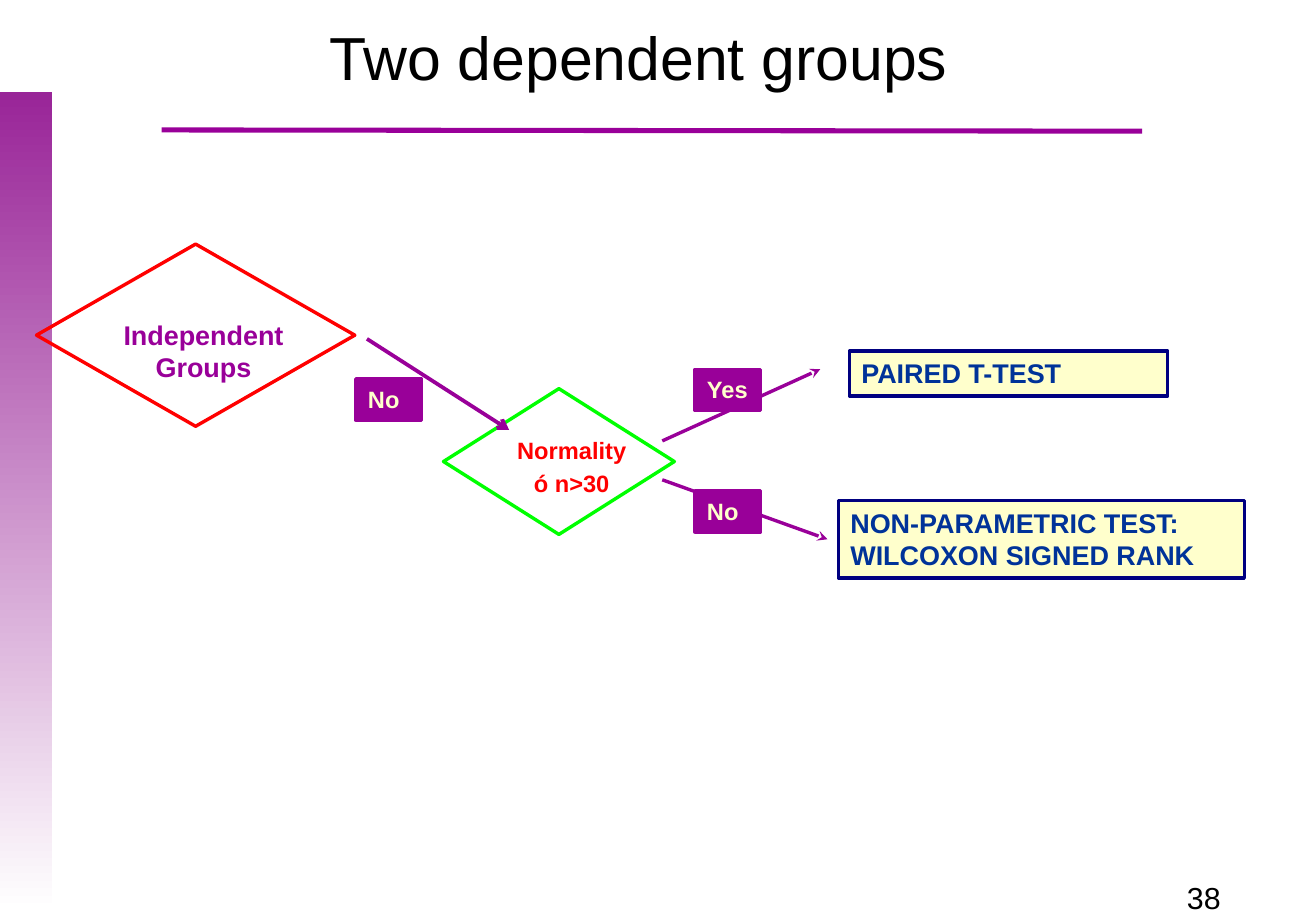
from lxml.etree import SubElement
from pptx import Presentation
from pptx.dml.color import RGBColor
from pptx.enum.shapes import MSO_CONNECTOR, MSO_SHAPE
from pptx.enum.text import MSO_ANCHOR, PP_ALIGN
from pptx.oxml.ns import qn
from pptx.util import Inches, Pt

COLORS = {
    "purple": "990099", "band": "992598", "white": "FFFFFF", "black": "000000",
    "red": "FF0000", "green": "00FF00", "cream": "FFFFCC", "navy": "000080",
    "blue": "003399",
}


def rgb(name):
    return RGBColor.from_string(COLORS[name])


def write(shape, lines, size, color, bold=True, align=PP_ALIGN.LEFT,
          anchor=MSO_ANCHOR.TOP, gap=0):
    """Fill a shape with one paragraph per line, gap points apart."""
    frame = shape.text_frame
    frame.word_wrap = True
    frame.vertical_anchor = anchor
    frame.text = "\n".join(lines)
    font_format = {"name": "Arial", "size": Pt(size), "bold": bold}
    for index, paragraph in enumerate(frame.paragraphs):
        paragraph.alignment = align
        if index:
            paragraph.space_before = Pt(gap)
        for attribute, value in font_format.items():
            setattr(paragraph.font, attribute, value)
        paragraph.font.color.rgb = rgb(color)


def add_box(slide, box, fill=None, line=None, kind=MSO_SHAPE.RECTANGLE):
    shape = slide.shapes.add_shape(kind, *map(Inches, box))
    shape.shadow.inherit = False
    if fill:
        shape.fill.solid()
        shape.fill.fore_color.rgb = rgb(fill)
    else:
        shape.fill.background()
    if line:
        shape.line.color.rgb = rgb(line)
        shape.line.width = Pt(2)
    else:
        shape.line.fill.background()
    return shape


def add_text(slide, box, lines, size, color, **layout):
    write(slide.shapes.add_textbox(*map(Inches, box)), lines, size, color, **layout)


def add_line(slide, start, end, width=2, head=None):
    line = slide.shapes.add_connector(
        MSO_CONNECTOR.STRAIGHT, *map(Inches, (*start, *end)))
    line.line.color.rgb = rgb("purple")
    line.line.width = Pt(width)
    if head:
        SubElement(line.line._get_or_add_ln(), qn("a:tailEnd"), type=head)
    SubElement(line._element.spPr, qn("a:effectLst"))


def add_frame(slide, title, number):
    """Side band, rule, page number and title."""
    band = add_box(slide, (0, 0.76, 0.43, 6.74))
    band.fill.gradient()
    band.fill.gradient_angle = 270
    for stop, position, color in zip(
            band.fill.gradient_stops, (0, 1), ("band", "white")):
        stop.position = position
        stop.color.rgb = rgb(color)
    add_line(slide, (1.33, 1.07), (9.4, 1.08), width=3)
    add_text(slide, (9.67, 7.19, 1.16, 0.31), [number], 18, "black", bold=False)
    write(add_box(slide, (1.87, 0, 6.77, 0.92), "white"), [title], 36, "black",
          bold=False, align=PP_ALIGN.CENTER, anchor=MSO_ANCHOR.MIDDLE)


def add_decision(slide, box, line, label, lines, size, color, gap=0):
    """Diamond with its text; label is the text box relative to the diamond."""
    left, top, _, _ = box
    add_box(slide, box, line=line, kind=MSO_SHAPE.FLOWCHART_DECISION)
    dx, dy, width, height = label
    add_text(slide, (left + dx, top + dy, width, height), lines, size, color,
             align=PP_ALIGN.CENTER, gap=gap)


def add_result(slide, box, text):
    write(add_box(slide, box, "cream", "navy"), [text], 16, "blue")


def add_answer(slide, left, top, text):
    write(add_box(slide, (left, top, 0.54, 0.34), "purple", "purple"),
          [text], 14, "cream")


def add_flowchart(slide):
    add_decision(slide, (0.3, 2.01, 2.62, 1.5), "red", (0.23, 0.56, 2.29, 0.62),
                 ["Independent Groups"], 16, "purple")
    add_result(slide, (6.99, 2.89, 2.62, 0.37), "PAIRED T-TEST")
    add_result(slide, (6.9, 4.12, 3.34, 0.64),
               "NON-PARAMETRIC TEST: WILCOXON SIGNED RANK")
    add_decision(slide, (3.65, 3.2, 1.9, 1.2), "green", (0, 0.34, 2.11, 0.62),
                 ["Normality", "ó n>30"], 14, "red", gap=2.8)
    branches = [("Yes", 3.04, (5.45, 3.63), (6.75, 3.04)),
                ("No", 4.04, (5.45, 3.95), (6.81, 4.44))]
    for answer, top, start, end in branches:
        add_line(slide, start, end, head="stealth")
        add_answer(slide, 5.72, top, answer)
    add_answer(slide, 2.93, 3.12, "No")
    add_line(slide, (3.02, 2.79), (4.19, 3.54), width=2.25, head="arrow")


def main():
    deck = Presentation()
    deck.slide_width, deck.slide_height = Inches(10.83), Inches(7.5)
    slide = deck.slides.add_slide(deck.slide_layouts[6])
    add_frame(slide, "Two dependent groups", "38")
    add_flowchart(slide)
    deck.save("out.pptx")


if __name__ == "__main__":
    main()
